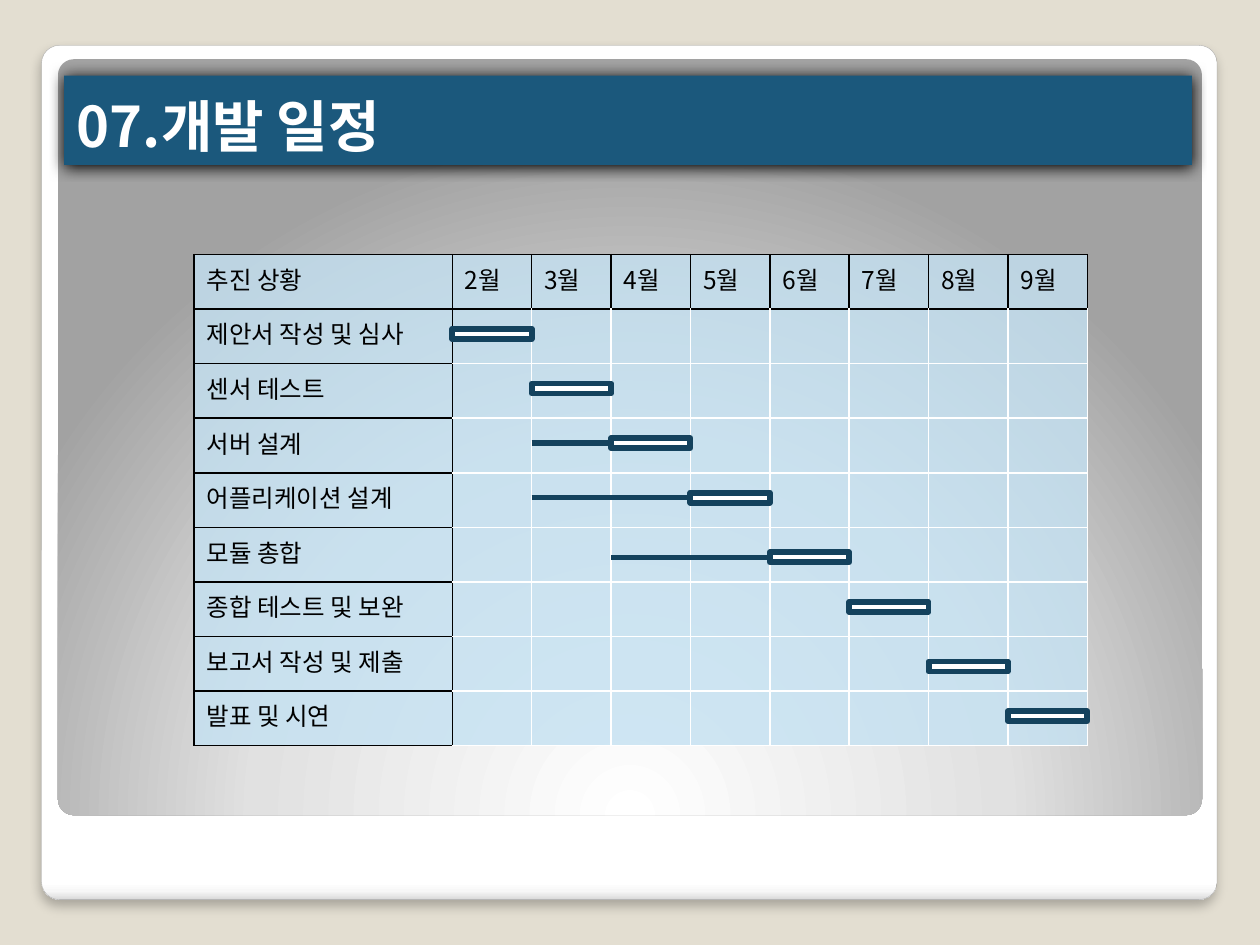
from lxml.etree import SubElement, fromstring
from pptx import Presentation
from pptx.dml.color import RGBColor as Rgb
from pptx.enum.shapes import MSO_CONNECTOR as Link, MSO_SHAPE as Preset
from pptx.enum.text import MSO_ANCHOR as Anchor, MSO_AUTO_SIZE as AutoSize, PP_ALIGN as Align
from pptx.oxml.ns import nsdecls, qn
from pptx.util import Inches, Pt

COLORS = {
    "back": "E3DED1", "white": "FFFFFF", "black": "000000", "edge": "A4A4A4",
    "banner": "1B587C", "cell": "C4E1F2", "bar": "14425D",
}
FONT = "Noto Sans CJK KR"
LABEL_WIDTH, MONTH_WIDTH, ROW_HEIGHT, BAR_HEIGHT = 2.05, 0.63, 3.9 / 9, 0.08
MONTHS = [f"{month}월" for month in range(2, 10)]
TASKS = [
    ("제안서 작성 및 심사", 0, -0.02),
    ("센서 테스트", 0, -0.02),
    ("서버 설계", 1, -0.02),
    ("어플리케이션 설계", 2, -0.02),
    ("모듈 총합", 2, 0.02),
    ("종합 테스트 및 보완", 0, -0.02),
    ("보고서 작성 및 제출", 0, 0.02),
    ("발표 및 시연", 0, -0.02),
]


def color(name):
    return Rgb.from_string(COLORS[name])


def add_span(para, text, size, tint, bold=False):
    span = para.add_run()
    span.text = text
    span.font.size = Pt(size)
    span.font.name = FONT
    span.font.bold = bold
    span.font.color.rgb = color(tint)
    SubElement(span.font._element, qn("a:ea"), typeface=FONT)


def fill_gradient(shape, stops, direction):
    shape.fill.background()
    marks = "".join(
        f'<a:gs pos="{share * 1000}"><a:srgbClr val="{tint}"/></a:gs>' for share, tint in stops
    )
    gradient = fromstring(
        f'<a:gradFill {nsdecls("a")} rotWithShape="1"><a:gsLst>{marks}</a:gsLst>{direction}</a:gradFill>'
    )
    props = shape.element.spPr
    props.replace(props.find(qn("a:noFill")), gradient)


def add_shadow(shape, opacity, blur, distance):
    shape.shadow.inherit = False
    effects = shape.element.spPr.find(qn("a:effectLst"))
    shadow = SubElement(
        effects, qn("a:outerShdw"), blurRad=str(Pt(blur)), dist=str(Pt(distance)),
        dir="5400000", algn="t", rotWithShape="0",
    )
    tint = SubElement(shadow, qn("a:srgbClr"), val=COLORS["black"])
    SubElement(tint, qn("a:alpha"), val=str(opacity * 1000))


def add_panel(page, box, stops, direction):
    panel = page.shapes.add_shape(Preset.ROUNDED_RECTANGLE, *map(Inches, box))
    panel.adjustments[0] = 0.021
    fill_gradient(panel, stops, direction)
    panel.line.fill.background()
    panel.shadow.inherit = False
    return panel


def add_frame(page, outer_box, inner_box):
    outer = add_panel(
        page, outer_box,
        [(0, "FFFFFF"), (98, "FFFFFF"), (99, "F7F7F7"), (100, "DADADA")],
        '<a:lin ang="5400000" scaled="0"/>',
    )
    outer.line.color.rgb = color("edge")
    outer.line.width = Pt(0.16)
    add_shadow(outer, 25, 6, 4)
    return add_panel(
        page, inner_box,
        [(0, "FFFFFF"), (55, "E1E1E1"), (100, "A2A2A2")],
        '<a:path path="circle"><a:fillToRect l="50000" t="175000" r="50000" b="-75000"/></a:path>',
    )


def place_title(page, box, text, panel):
    title = page.shapes.title
    panel.element.addnext(title.element)
    title.left, title.top, title.width, title.height = map(Inches, box)
    title.fill.solid()
    title.fill.fore_color.rgb = color("banner")
    add_shadow(title, 100, 8.5, 1)
    frame = title.text_frame
    frame.auto_size = AutoSize.NONE
    frame.vertical_anchor = Anchor.BOTTOM
    para = frame.paragraphs[0]
    para.alignment = Align.LEFT
    add_span(para, text, 32, "white", True)


def style_cell(cell, row, column):
    cell.fill.solid()
    cell.fill.fore_color.rgb = color("cell")
    props = cell._tc.tcPr
    SubElement(props.find(qn("a:solidFill"))[0], qn("a:alpha"), val="80000")
    header = row == 0 or column == 0
    dark_sides = {"L": header or column == 1, "R": header, "T": header or row == 1, "B": header}
    for index, (side, dark) in enumerate(dark_sides.items()):
        tint = COLORS["black" if dark else "white"]
        props.insert(index, fromstring(
            f'<a:ln{side} {nsdecls("a")} w="{Pt(1)}"><a:solidFill>'
            f'<a:srgbClr val="{tint}"/></a:solidFill></a:ln{side}>'
        ))


def add_schedule_table(page, box):
    rows, columns = len(TASKS) + 1, len(MONTHS) + 1
    frame = page.shapes.add_table(rows, columns, *map(Inches, box))
    table = frame.table
    for column in range(columns):
        table.columns[column].width = Inches(MONTH_WIDTH if column else LABEL_WIDTH)
    header = ["추진 상황", *MONTHS]
    for row in range(rows):
        table.rows[row].height = Inches(ROW_HEIGHT)
        for column in range(columns):
            cell = table.cell(row, column)
            style_cell(cell, row, column)
            if row == 0 or column == 0:
                text = TASKS[row - 1][0] if row else header[column]
                add_span(cell.text_frame.paragraphs[0], text, 14, "black")


def add_bar(page, left, middle):
    box = (left, middle - BAR_HEIGHT / 2, MONTH_WIDTH, BAR_HEIGHT)
    bar = page.shapes.add_shape(Preset.RECTANGLE, *map(Inches, box))
    bar.shadow.inherit = False
    bar.fill.solid()
    bar.fill.fore_color.rgb = color("white")
    bar.line.color.rgb = color("bar")
    bar.line.width = Pt(3.35)
    return bar


def add_lead(page, left, middle):
    ends = (left, middle, left + MONTH_WIDTH, middle)
    lead = page.shapes.add_connector(Link.STRAIGHT, *map(Inches, ends))
    lead.line.color.rgb = color("bar")
    lead.line.width = Pt(3)
    SubElement(lead.element.spPr, qn("a:effectLst"))
    return lead


def add_schedule_bars(page, box):
    left, top = box[0] + LABEL_WIDTH, box[1]
    bars = []
    for index, (_, lead_months, shift) in enumerate(TASKS):
        start = left + index * MONTH_WIDTH
        middle = top + (index + 1.5) * ROW_HEIGHT + shift
        bars.append((add_bar(page, start, middle), start, middle, lead_months))
    for bar, start, middle, lead_months in bars:
        for step in range(lead_months, 0, -1):
            lead = add_lead(page, start - step * MONTH_WIDTH, middle)
            if step == 1:
                lead.end_connect(bar, 1)


def build_schedule_page(deck):
    page = deck.slides.add_slide(deck.slide_layouts[5])
    page.background.fill.solid()
    page.background.fill.fore_color.rgb = color("back")
    panel = add_frame(page, (0.33, 0.36, 9.33, 6.78), (0.46, 0.47, 9.08, 6))
    place_title(page, (0.51, 0.6, 8.95, 0.71), "07.개발 일정", panel)
    schedule_box = (1.54, 2.02, 7.09, 3.9)
    add_schedule_table(page, schedule_box)
    add_schedule_bars(page, schedule_box)


def main():
    deck = Presentation()
    deck.slide_width, deck.slide_height = Inches(10), Inches(7.5)
    build_schedule_page(deck)
    deck.save("out.pptx")


if __name__ == "__main__":
    main()
